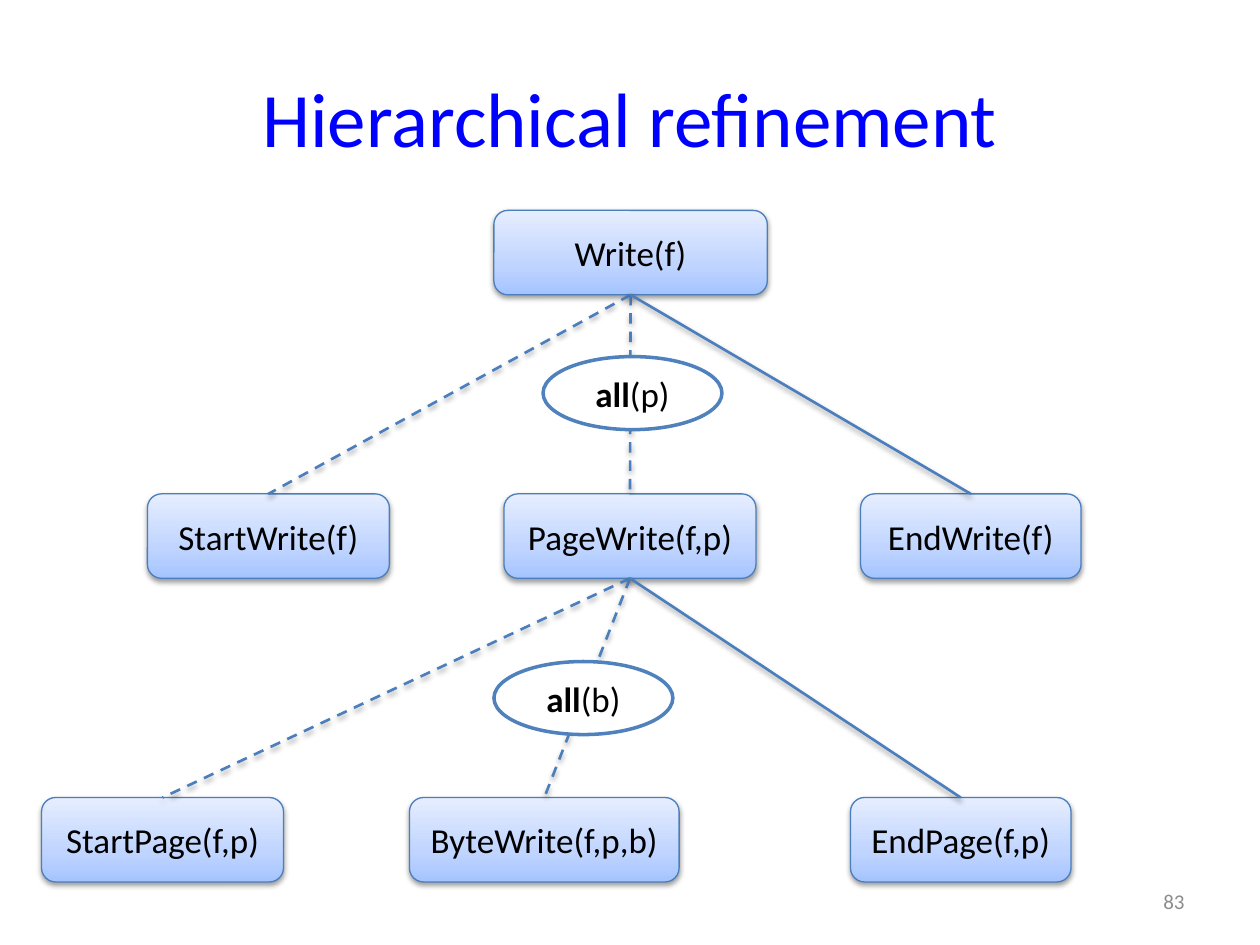
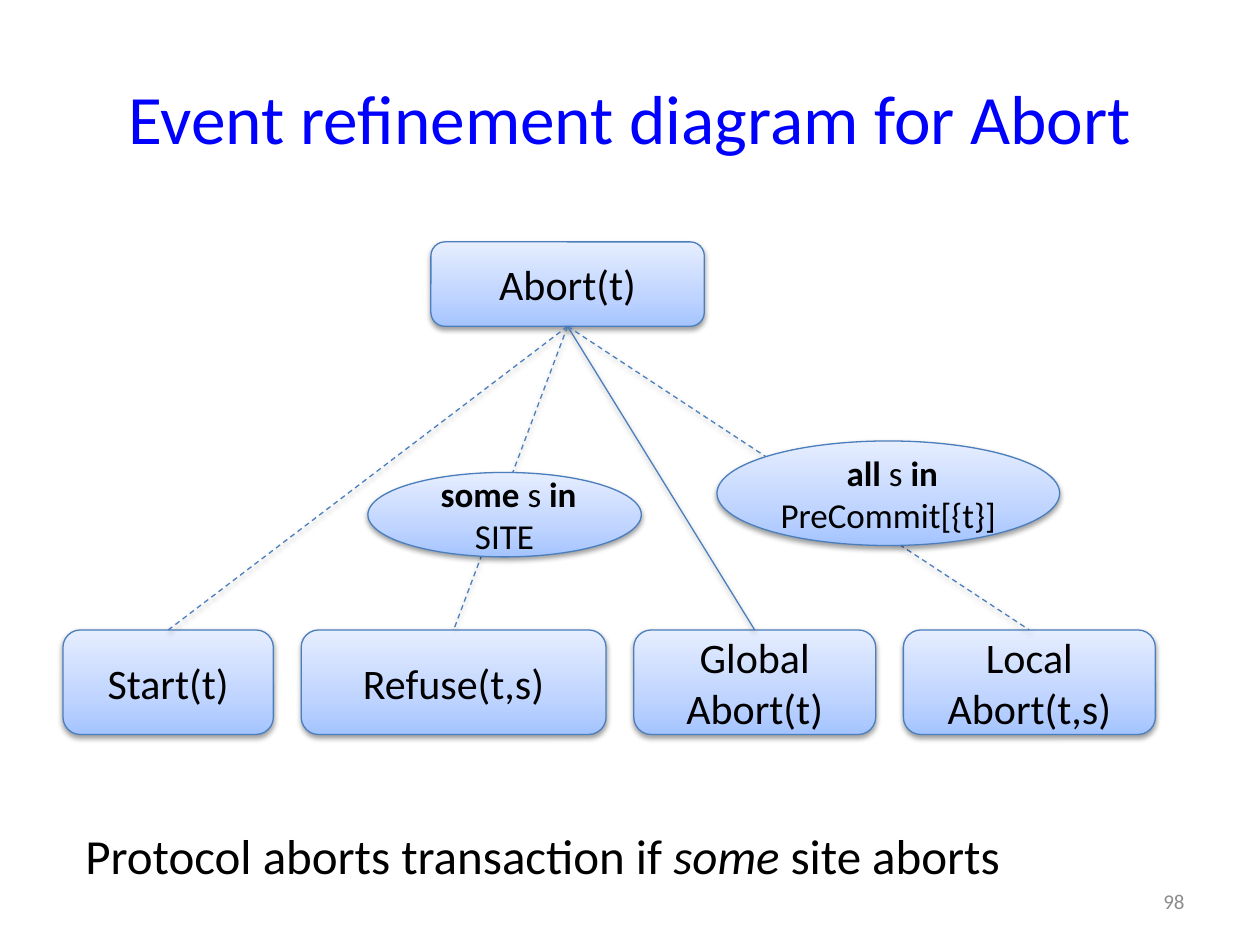
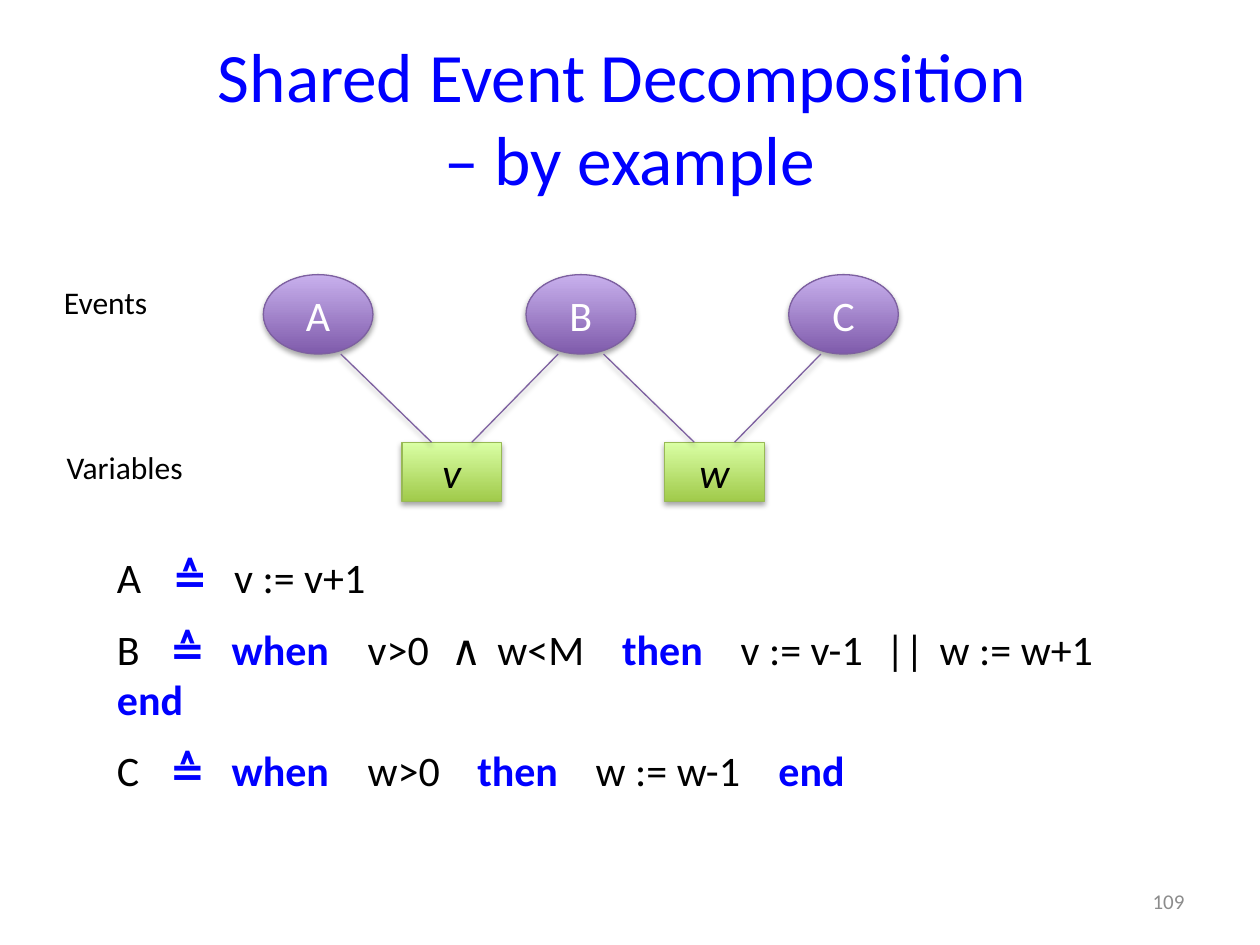
from lxml import etree
from pptx import Presentation
from pptx.dml.color import RGBColor
from pptx.enum.dml import MSO_LINE
from pptx.enum.shapes import MSO_CONNECTOR, MSO_SHAPE
from pptx.enum.text import MSO_ANCHOR, MSO_AUTO_SIZE, PP_ALIGN
from pptx.oxml.ns import qn
from pptx.util import Inches, Pt

FONT = "Calibri"
BLACK = RGBColor(0x00, 0x00, 0x00)
WHITE = RGBColor(0xFF, 0xFF, 0xFF)
BLUE = RGBColor(0x00, 0x00, 0xFF)
GREY = RGBColor(0x8C, 0x8C, 0x8C)
EDGE = RGBColor(0x4B, 0x7E, 0xBC)
OVAL_EDGE = RGBColor(0x4F, 0x81, 0xBD)
PURPLE_EDGE = RGBColor(0x7D, 0x60, 0xA0)
GREEN_EDGE = RGBColor(0x98, 0xB9, 0x55)
PALE_BLUE = [(0, RGBColor(0xA4, 0xC4, 0xFF)), (35, RGBColor(0xBF, 0xD4, 0xFF)),
             (100, RGBColor(0xE6, 0xEE, 0xFF))]
PURPLE = [(0, RGBColor(0x7F, 0x5B, 0xAB)), (100, RGBColor(0xC8, 0xB0, 0xED))]
GREEN = [(0, RGBColor(0xA0, 0xCA, 0x4A)), (100, RGBColor(0xDA, 0xFF, 0xA5))]
DIAGRAM_SHADOW = (38, 20000)
EXAMPLE_SHADOW = (35, 23000)

WRITE_TREE = {
    "title": ["Hierarchical refinement"], "title_size": 44, "number": "83",
    "size": 20, "width": 1.5, "oval_fill": WHITE, "oval_edge": OVAL_EDGE, "oval_width": 2,
    "boxes": {
        "Write(f)": (3.92, 1.67, 2.17, 0.67),
        "StartWrite(f)": (1.17, 3.92, 1.92, 0.67),
        "PageWrite(f,p)": (4, 3.92, 2, 0.67),
        "EndWrite(f)": (6.83, 3.92, 1.75, 0.67),
        "StartPage(f,p)": (0.33, 6.33, 1.92, 0.67),
        "ByteWrite(f,p,b)": (3.25, 6.33, 2.14, 0.67),
        "EndPage(f,p)": (6.75, 6.33, 1.75, 0.67),
    },
    "links": [
        ("Write(f)", "StartWrite(f)", True),
        ("Write(f)", "PageWrite(f,p)", True),
        ("Write(f)", "EndWrite(f)", False),
        ("PageWrite(f,p)", "StartPage(f,p)", True),
        ("PageWrite(f,p)", "ByteWrite(f,p,b)", True),
        ("PageWrite(f,p)", "EndPage(f,p)", False),
    ],
    "ovals": [
        ([" ", ("all", "b"), "(p) "], (4.31, 2.83, 1.42, 0.58)),
        ([" ", ("all", "b"), "(b) "], (3.92, 5.25, 1.42, 0.58)),
    ],
}
ABORT_TREE = {
    "title": ["Event refinement diagram for Abort"], "title_size": 39.6, "number": "98",
    "size": 24, "width": 0.75, "oval_fill": PALE_BLUE, "oval_edge": EDGE, "oval_width": 0.75,
    "boxes": {
        "Abort(t)": (3.42, 1.92, 2.17, 0.67),
        "Start(t)": (0.5, 5, 1.67, 0.83),
        "Refuse(t,s)": (2.39, 5, 2.42, 0.83),
        "Global Abort(t)": (5.03, 5, 1.92, 0.83),
        "Local Abort(t,s)": (7.17, 5, 2, 0.83),
    },
    "links": [
        ("Abort(t)", "Start(t)", True),
        ("Abort(t)", "Refuse(t,s)", True),
        ("Abort(t)", "Global Abort(t)", False),
        ("Abort(t)", "Local Abort(t,s)", True),
    ],
    "ovals": [
        ([" ", ("all ", "b"), "s ", ("in ", "b"), "PreCommit[{t}]"], (5.69, 3.5, 2.72, 0.83)),
        ([" ", ("some ", "b"), "s ", ("in ", "b"), "SITE"], (2.92, 3.75, 2.17, 0.67)),
    ],
}
ABORT_NOTE = ["Protocol aborts transaction if ", ("some ", "i"), "site aborts"]

EXAMPLE_TITLE = ["Shared Event Decomposition ", "\v", "– by example"]
EVENTS = ["A", "B", "C"]
VARIABLES = ["v", "w"]
ROW_LABELS = [("Events", (0.41, 2.2, 0.97, 0.4)), ("Variables", (0.43, 3.51, 1.24, 0.4))]
DEFINITIONS = [
    (["A", ("\t≙", "k"), "\tv := v+1"], [0.44, 0.93]),
    (["B", ("\t≙\twhen", "k"), "\tv>0\t∧\tw<M", ("\tthen", "k"),
      "\tv := v-1\t||\tw := w+1", "\v", ("end", "k")],
     [0.42, 0.91, 1.99, 2.65, 3.02, 4.01, 4.95, 6.1, 6.53]),
    (["C", ("\t≙\twhen", "k"), "\tw>0", ("\tthen", "k"), "\tw := w-1", ("\tend", "k")],
     [0.42, 0.91, 1.99, 2.86, 3.8, 5.25]),
]


def inches(values):
    return [Inches(v) for v in values]


def write(sp, paragraphs, size=24, color=BLACK, align=PP_ALIGN.CENTER,
          anchor=MSO_ANCHOR.MIDDLE, wrap=True, before=0):
    tf = sp.text_frame
    tf.auto_size = MSO_AUTO_SIZE.NONE
    tf.word_wrap = wrap
    tf.vertical_anchor = anchor
    for i, runs in enumerate(paragraphs):
        p = tf.add_paragraph() if i else tf.paragraphs[0]
        p.alignment = align
        p.space_before = Pt(before)
        for run in runs:
            text, style = run if isinstance(run, tuple) else (run, "")
            if text == "\v":
                p.add_line_break()
                continue
            r = p.add_run()
            r.text = text
            r.font.name = FONT
            r.font.size = Pt(size)
            r.font.bold = style in ("b", "k")
            r.font.italic = style == "i"
            r.font.color.rgb = BLUE if style == "k" else color
    return tf


def add_color(parent, color):
    return etree.SubElement(parent, qn("a:srgbClr"), val=str(color))


def set_shadow(sp, shadow):
    effects = etree.SubElement(sp._element.spPr, qn("a:effectLst"))
    if shadow:
        alpha, dist = shadow
        outer = etree.SubElement(effects, qn("a:outerShdw"), blurRad="40000",
                                 dist=str(dist), dir="5400000", rotWithShape="0")
        etree.SubElement(add_color(outer, BLACK), qn("a:alpha"), val=str(alpha * 1000))


def set_fill(sp, fill):
    if isinstance(fill, RGBColor):
        sp.fill.solid()
        sp.fill.fore_color.rgb = fill
        return
    sp.fill.gradient()
    sp.fill.gradient_angle = 90
    stops = sp._element.spPr.find(qn("a:gradFill")).find(qn("a:gsLst"))
    for stop in list(stops):
        stops.remove(stop)
    for pos, color in fill:
        add_color(etree.SubElement(stops, qn("a:gs"), pos=str(pos * 1000)), color)


def add_node(s, kind, at, runs, fill, edge, width=0.75, shadow=DIAGRAM_SHADOW, **fmt):
    sp = s.shapes.add_shape(kind, *inches(at))
    set_fill(sp, fill)
    sp.line.color.rgb = edge
    sp.line.width = Pt(width)
    set_shadow(sp, shadow)
    write(sp, [runs], **fmt)


def add_link(s, start, end, color=EDGE, width=0.75, dashed=False, shadow=DIAGRAM_SHADOW):
    line = s.shapes.add_connector(MSO_CONNECTOR.STRAIGHT, *inches(start + end))
    line.line.color.rgb = color
    line.line.width = Pt(width)
    if dashed:
        line.line.dash_style = MSO_LINE.DASH
    set_shadow(line, shadow)


def add_text(s, at, paragraphs, **fmt):
    return write(s.shapes.add_textbox(*inches(at)), paragraphs, **fmt)


def add_slide(prs, title, number, title_size=39.6):
    s = prs.slides.add_slide(prs.slide_layouts[5])
    sp = s.shapes.title
    sp.left, sp.top, sp.width, sp.height = inches((0.5, 0.3, 9, 1.25))
    write(sp, [title], size=title_size, color=BLUE)
    add_text(s, (7.17, 6.95, 2.33, 0.4), [[number]], size=12, color=GREY,
             align=PP_ALIGN.RIGHT)
    return s


def add_tree(prs, tree):
    s = add_slide(prs, tree["title"], tree["number"], tree["title_size"])
    boxes = tree["boxes"]
    for name, at in boxes.items():
        add_node(s, MSO_SHAPE.ROUNDED_RECTANGLE, at, [name], PALE_BLUE, EDGE,
                 size=tree["size"])
    for parent, child, dashed in tree["links"]:
        x, y, w, h = boxes[parent]
        child_x, child_y, child_w, _ = boxes[child]
        add_link(s, (x + w / 2, y + h), (child_x + child_w / 2, child_y),
                 width=tree["width"], dashed=dashed)
    for runs, at in tree["ovals"]:
        fill = tree["oval_fill"]
        add_node(s, MSO_SHAPE.OVAL, at, runs, fill, tree["oval_edge"], tree["oval_width"],
                 shadow=None if fill == WHITE else DIAGRAM_SHADOW, size=20)
    return s


def add_example(prs):
    s = add_slide(prs, EXAMPLE_TITLE, "109")
    step = 2.085
    event_x, event_y, event_w, event_h = 2.09, 2.18, 0.87, 0.63
    var_x, var_y, var_w, var_h = 3.19, 3.51, 0.79, 0.47
    for i, name in enumerate(EVENTS):
        add_node(s, MSO_SHAPE.OVAL, (event_x + i * step, event_y, event_w, event_h), [name],
                 PURPLE, PURPLE_EDGE, shadow=EXAMPLE_SHADOW, color=WHITE, wrap=False)
    for i, name in enumerate(VARIABLES):
        add_node(s, MSO_SHAPE.RECTANGLE, (var_x + i * step, var_y, var_w, var_h),
                 [(name, "i")], GREEN, GREEN_EDGE, shadow=EXAMPLE_SHADOW, wrap=False)
        for event, side in ((i, 1), (i + 1, -1)):
            start = (event_x + event_w / 2 + event * step + side * 0.18, event_y + event_h)
            end = (var_x + var_w / 2 + i * step - side * 0.16, var_y)
            add_link(s, start, end, PURPLE_EDGE, shadow=EXAMPLE_SHADOW)
    for label, at in ROW_LABELS:
        add_text(s, at, [[label]], size=18, align=PP_ALIGN.LEFT, anchor=MSO_ANCHOR.TOP,
                 wrap=False)
    tf = add_text(s, (0.83, 4.33, 8.67, 1.72), [runs for runs, _ in DEFINITIONS],
                  align=PP_ALIGN.LEFT, anchor=MSO_ANCHOR.TOP, before=12)
    for p, (_, stops) in zip(tf.paragraphs, DEFINITIONS):
        tabs = etree.SubElement(p._p.get_or_add_pPr(), qn("a:tabLst"))
        for stop in stops:
            etree.SubElement(tabs, qn("a:tab"), pos=str(Inches(stop)), algn="l")


def main():
    prs = Presentation()
    prs.slide_width, prs.slide_height = Inches(10), Inches(7.5)
    add_tree(prs, WRITE_TREE)
    s = add_tree(prs, ABORT_TREE)
    add_text(s, (0.58, 6.5, 7.56, 0.57), [ABORT_NOTE], size=28, align=PP_ALIGN.LEFT,
             anchor=MSO_ANCHOR.TOP, wrap=False)
    add_example(prs)
    prs.save("out.pptx")


if __name__ == "__main__":
    main()
